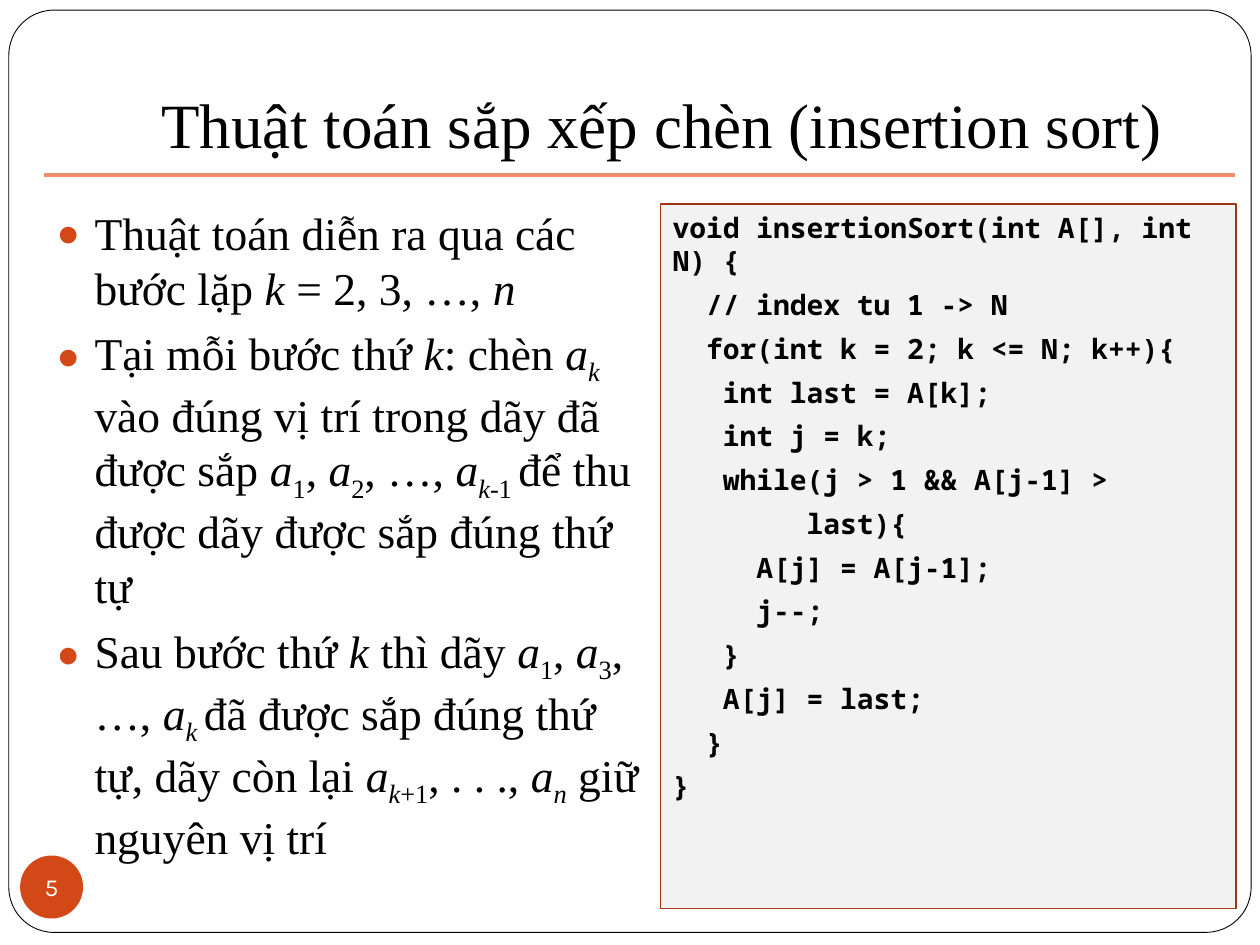
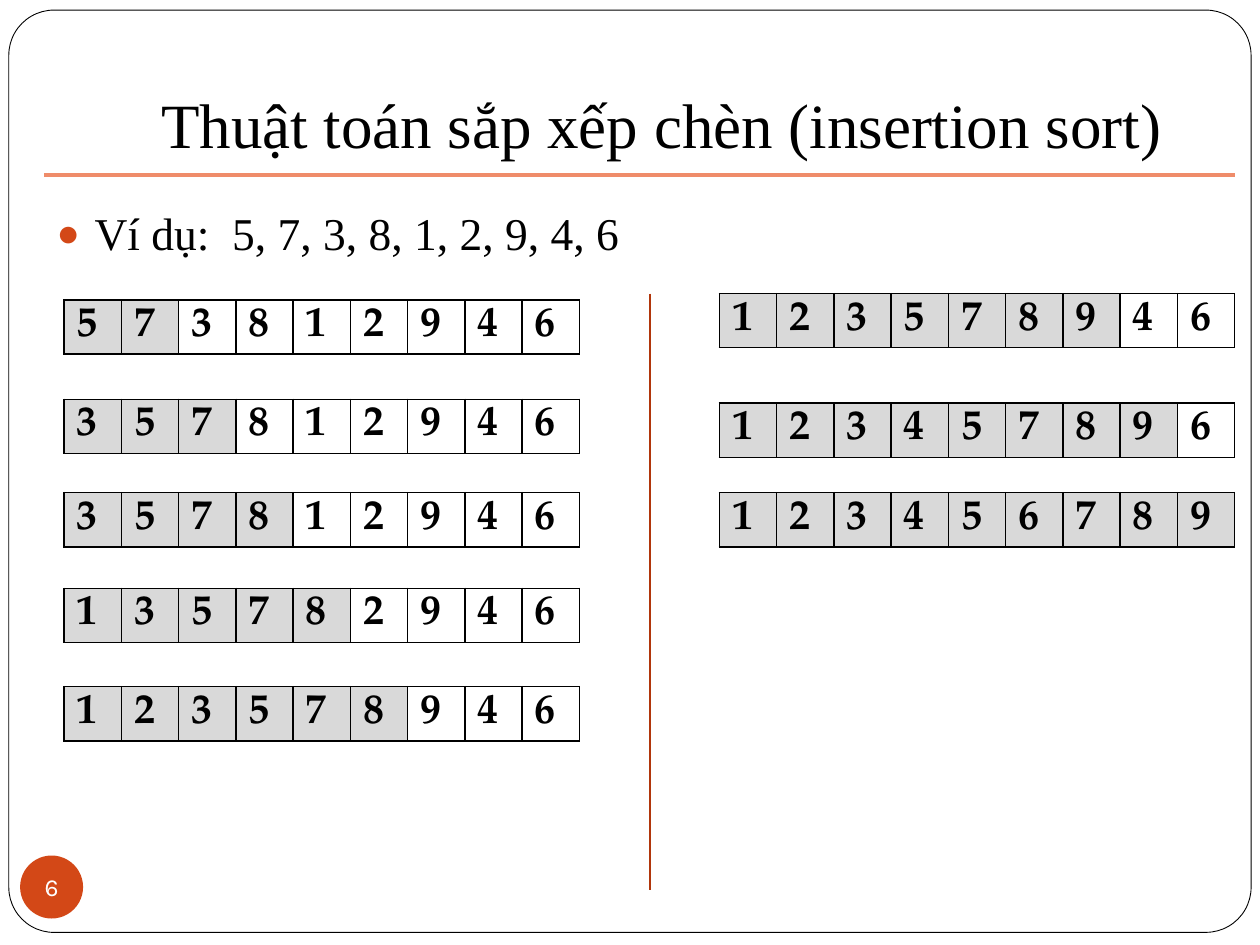
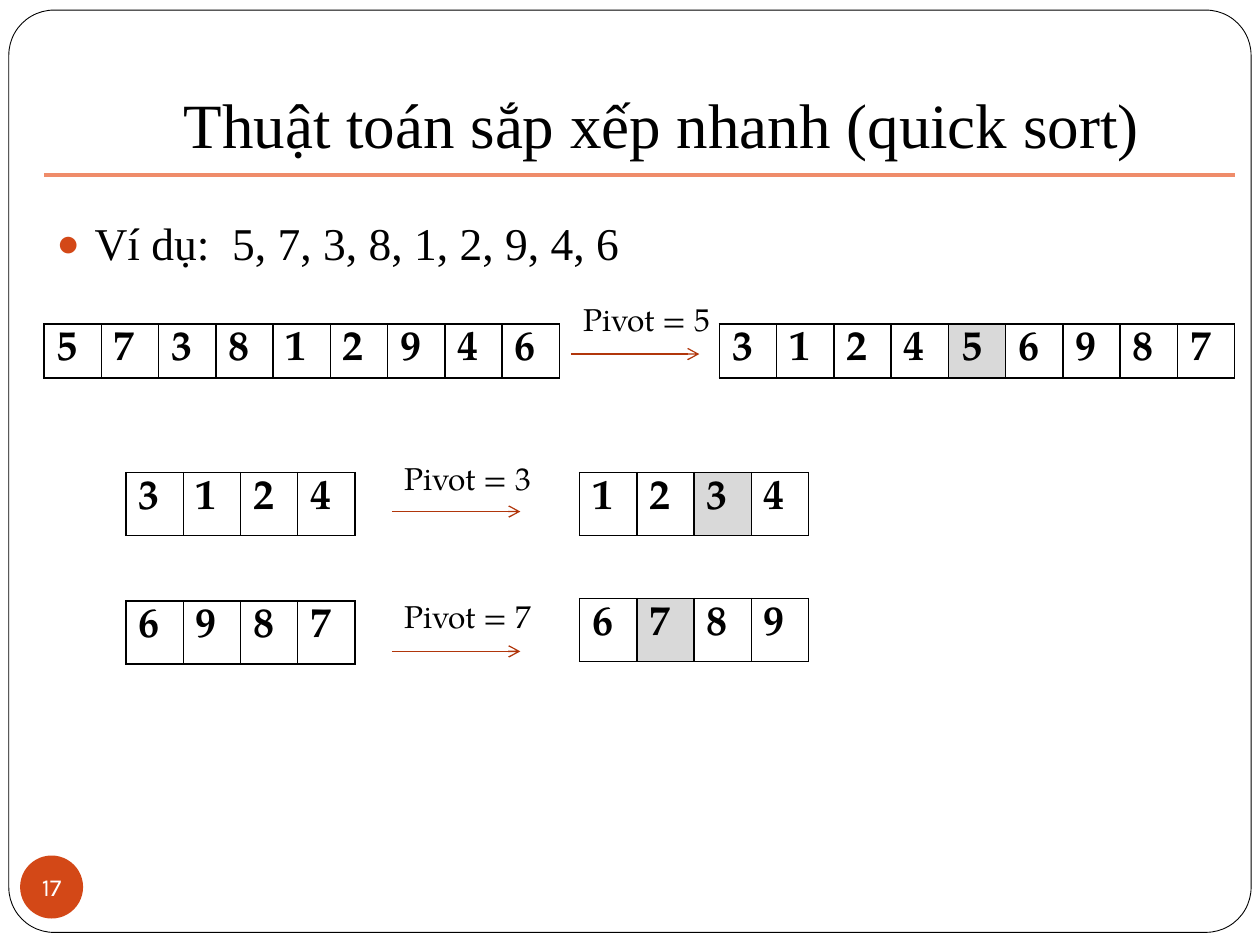
from dataclasses import dataclass

from lxml.etree import SubElement
from pptx import Presentation
from pptx.dml.color import RGBColor
from pptx.enum.shapes import MSO_CONNECTOR as Connector, MSO_SHAPE as Preset
from pptx.enum.text import MSO_ANCHOR as Anchor, MSO_AUTO_SIZE as AutoSize, PP_ALIGN as Align
from pptx.oxml import parse_xml
from pptx.oxml.ns import nsdecls, qn
from pptx.util import Inches, Pt

# Shared look
BLACK, WHITE = "000000", "FFFFFF"
ACCENT, RULE, ARROW, CODE_EDGE = "D34817", "EF8C6A", "B1360B", "9E3611"
SORTED, CODE_FILL = "D9D9D9", "F2F2F2"
TITLE_FONT = {"name": "Times New Roman", "size": Pt(36)}
LIST_FONT = {"name": "Times New Roman", "size": Pt(26)}
CODE_FONT = {"name": "Noto Sans Mono", "size": Pt(16), "bold": True}
CELL_FONT = {"name": "TeX Gyre Pagella", "size": Pt(24), "bold": True}
LABEL_FONT = {"name": "TeX Gyre Pagella", "size": Pt(18)}
BADGE_FONT = {"name": "Karla", "size": Pt(14)}
NO_INSETS = {f"margin_{side}": 0 for side in ("left", "top", "right", "bottom")}
SPACE_BEFORE = Pt(5.8)
CELL_WIDTH = 4.09 / 9
CODE_STEP = 0.133
LEFT_COLUMN, RIGHT_COLUMN = 0.51, 5.71


@dataclass(frozen=True)
class Box:
    left: float
    top: float
    width: float
    height: float

    def lengths(self) -> tuple:
        return tuple(Inches(v) for v in (self.left, self.top, self.width, self.height))


@dataclass(frozen=True)
class ArrayRow:
    left: float
    top: float
    digits: str
    shaded: range = range(0)
    height: float = 0.43


@dataclass(frozen=True)
class Pivot:
    left: float
    label_top: float
    arrow_top: float
    value: int


# Formatting helpers
def rgb(code: str) -> RGBColor:
    return RGBColor.from_string(code)


def apply(target, values: dict) -> None:
    for name, value in values.items():
        setattr(target, name, value)


def paint(shape, fill: str, edge: str = "", weight: float = 0) -> None:
    shape.shadow.inherit = False
    shape.fill.solid()
    shape.fill.fore_color.rgb = rgb(fill)
    if edge:
        shape.line.color.rgb = rgb(edge)
        shape.line.width = Pt(weight)
    else:
        shape.line.fill.background()


def write(paragraph, text: str, font: dict, color: str = BLACK):
    run = paragraph.add_run()
    run.text = text
    apply(run.font, font)
    run.font.color.rgb = rgb(color)
    return run


def write_math(paragraph, markup: str) -> None:
    """Pieces between bars: ~ is italic, _ is subscript, ^ is italic subscript."""
    for piece in markup.split("|"):
        mark = piece[0] if piece[0] in "~_^" else ""
        run = write(paragraph, piece[len(mark):], LIST_FONT)
        run.font.italic = mark in ("~", "^")
        if mark in ("_", "^"):
            run._r.get_or_add_rPr().set("baseline", "-25000")


def add_bullet(paragraph) -> None:
    paragraph.space_before = SPACE_BEFORE
    props = paragraph._p.get_or_add_pPr()
    props.set("marL", str(Inches(0.3)))
    props.set("indent", str(Inches(-0.3)))
    SubElement(SubElement(props, qn("a:buClr")), qn("a:srgbClr")).set("val", ACCENT)
    SubElement(props, qn("a:buSzPct")).set("val", "85000")
    SubElement(props, qn("a:buChar")).set("char", "●")


# Parts of a slide
def add_line(slide, start: tuple, end: tuple, color: str, weight: float, arrow: bool = False) -> None:
    line = slide.shapes.add_connector(Connector.STRAIGHT, *map(Inches, start + end))
    line.line.color.rgb = rgb(color)
    line.line.width = Pt(weight)
    if arrow:
        SubElement(line.line._get_or_add_ln(), qn("a:tailEnd")).set("type", "arrow")
    SubElement(line._element.spPr, qn("a:effectLst"))


def add_frame_to_master(deck, slide) -> None:
    frame = slide.shapes.add_shape(Preset.ROUNDED_RECTANGLE, *Box(0.07, 0.08, 9.86, 7.32).lengths())
    frame.adjustments[0] = 0.049
    paint(frame, WHITE, BLACK, 0.5)
    deck.slide_master.shapes.element.insert(2, frame.element)


def add_slide(deck, title: str, number: int, body: Box, bullets: list):
    slide = deck.slides.add_slide(deck.slide_layouts[1])

    heading = slide.shapes.title
    apply(heading, dict(zip(("left", "top", "width", "height"), Box(1, 0.13, 8.5, 1.25).lengths())))
    apply(heading.text_frame, {"vertical_anchor": Anchor.BOTTOM, "auto_size": AutoSize.NONE,
                               "margin_bottom": Inches(0.1)})
    heading.text_frame.paragraphs[0].alignment = Align.CENTER
    write(heading.text_frame.paragraphs[0], title, TITLE_FONT)
    add_line(slide, (0.35, 1.39), (9.8, 1.39), RULE, 2)

    outline = slide.placeholders[1]
    apply(outline, dict(zip(("left", "top", "width", "height"), body.lengths())))
    outline.text_frame.auto_size = AutoSize.NONE
    for index, markup in enumerate(bullets):
        frame = outline.text_frame
        paragraph = frame.add_paragraph() if index else frame.paragraphs[0]
        add_bullet(paragraph)
        write_math(paragraph, markup)

    badge = slide.shapes.add_shape(Preset.OVAL, *Box(0.16, 6.79, 0.5, 0.5).lengths())
    paint(badge, ACCENT)
    apply(badge.text_frame, {**NO_INSETS, "word_wrap": False, "vertical_anchor": Anchor.MIDDLE})
    badge.text_frame.paragraphs[0].alignment = Align.CENTER
    write(badge.text_frame.paragraphs[0], str(number), BADGE_FONT, WHITE)
    return slide


def add_code(slide, box: Box, lines: list) -> None:
    listing = slide.shapes.add_shape(Preset.RECTANGLE, *box.lengths())
    paint(listing, CODE_FILL, CODE_EDGE, 0.75)
    frame = listing.text_frame
    apply(frame, {"word_wrap": True, "vertical_anchor": Anchor.TOP})
    for index, (depth, code) in enumerate(lines):
        paragraph = frame.add_paragraph() if index else frame.paragraphs[0]
        apply(paragraph, {"alignment": Align.LEFT, "space_before": SPACE_BEFORE})
        paragraph._p.get_or_add_pPr().set("marL", str(Inches(depth * CODE_STEP)))
        write(paragraph, code, CODE_FONT)


def add_borders(cell) -> None:
    props = cell._tc.get_or_add_tcPr()
    for index, side in enumerate("LRTB"):
        props.insert(index, parse_xml(
            f'<a:ln{side} {nsdecls("a")} w="{Pt(1)}"><a:solidFill>'
            f'<a:srgbClr val="{BLACK}"/></a:solidFill></a:ln{side}>'))


def add_array(slide, row: ArrayRow) -> None:
    count = len(row.digits)
    box = Box(row.left, row.top, count * CELL_WIDTH, row.height)
    table = slide.shapes.add_table(1, count, *box.lengths()).table
    apply(table, {"first_row": False, "horz_banding": False})
    for index, digit in enumerate(row.digits):
        table.columns[index].width = Inches(CELL_WIDTH)
        cell = table.cell(0, index)
        write(cell.text_frame.paragraphs[0], digit, CELL_FONT)
        if index in row.shaded:
            cell.fill.solid()
            cell.fill.fore_color.rgb = rgb(SORTED)
        else:
            cell.fill.background()
        add_borders(cell)


def add_pivot(slide, pivot: Pivot) -> None:
    add_line(slide, (pivot.left, pivot.arrow_top), (pivot.left + 1.02, pivot.arrow_top), ARROW, 0.75, arrow=True)
    label = slide.shapes.add_textbox(*Box(pivot.left, pivot.label_top, 1.34, 0.4).lengths())
    apply(label.text_frame, {"word_wrap": True, "auto_size": AutoSize.SHAPE_TO_FIT_TEXT})
    write(label.text_frame.paragraphs[0], f"Pivot = {pivot.value}", LABEL_FONT)


# Content
INSERTION_TITLE = "Thuật toán sắp xếp chèn (insertion sort)"
QUICK_TITLE = "Thuật toán sắp xếp nhanh (quick sort)"
EXAMPLE = "Ví dụ:  5, 7, 3, 8, 1, 2, 9, 4, 6"

INSERTION_STEPS = [
    "Thuật toán diễn ra qua các bước lặp |~k| = 2, 3, …, |~n",
    "Tại mỗi bước thứ |~k|: chèn |~a|^k |vào đúng vị trí trong dãy đã được sắp "
    "|~a|_1|, |~a|_2|, …, |~a|^k|_-1 |để thu được dãy được sắp đúng thứ tự",
    "Sau bước thứ |~k| thì dãy |~a|_1|, |~a|_3|, …, |~a|^k |đã được sắp đúng thứ tự, "
    "dãy còn lại |~a|^k|_+1|, . . ., |~a|^n| giữ nguyên vị trí",
]

# Each line of code with its indent in characters
INSERTION_CODE = [
    (0, "void insertionSort(int A[], int N) {"),
    (2, "// index tu 1 -> N"),
    (2, "for(int k = 2; k <= N; k++){"),
    (3, "int last = A[k];"),
    (3, "int j = k;"),
    (3, "while(j > 1 && A[j-1] >"),
    (8, "last){"),
    (5, "A[j] = A[j-1];"),
    (5, "j--;"),
    (3, "}"),
    (3, "A[j] = last;"),
    (2, "}"),
    (0, "}"),
]

# The sorted part grows by one cell at each step, starting from two
INSERTION_ROWS = [
    (LEFT_COLUMN, 2.38, "573812946"),
    (LEFT_COLUMN, 3.17, "357812946"),
    (LEFT_COLUMN, 3.91, "357812946"),
    (LEFT_COLUMN, 4.67, "135782946"),
    (LEFT_COLUMN, 5.45, "123578946"),
    (RIGHT_COLUMN, 2.33, "123578946"),
    (RIGHT_COLUMN, 3.2, "123457896"),
    (RIGHT_COLUMN, 3.91, "123456789"),
]

QUICK_ROWS = [
    ArrayRow(0.35, 2.57, "573812946"),
    ArrayRow(RIGHT_COLUMN, 2.57, "312456987", range(4, 5)),
    ArrayRow(1, 3.75, "3124", height=0.5),
    ArrayRow(4.6, 3.75, "1234", range(2, 3), 0.5),
    ArrayRow(1, 4.77, "6987", height=0.5),
    ArrayRow(4.6, 4.75, "6789", range(1, 2), 0.5),
]
PIVOTS = [Pivot(4.53, 2.33, 2.81, 5), Pivot(3.11, 3.59, 4.06, 3), Pivot(3.11, 4.69, 5.17, 7)]

deck = Presentation()
deck.slide_width, deck.slide_height = Inches(10), Inches(7.5)

# Insertion sort: explanation and code
explanation = add_slide(deck, INSERTION_TITLE, 5, Box(0.35, 1.58, 4.88, 5.47), INSERTION_STEPS)
add_frame_to_master(deck, explanation)
add_code(explanation, Box(5.24, 1.62, 4.57, 5.59), INSERTION_CODE)

# Insertion sort: example
insertion = add_slide(deck, INSERTION_TITLE, 6, Box(0.35, 1.58, 9.29, 5.47), [EXAMPLE])
for sorted_count, (left, top, digits) in enumerate(INSERTION_ROWS, start=2):
    add_array(insertion, ArrayRow(left, top, digits, range(sorted_count)))
add_line(insertion, (5.16, 2.33), (5.16, 7.06), ARROW, 0.75)

# Quick sort: example
quick = add_slide(deck, QUICK_TITLE, 17, Box(0.35, 1.66, 9.29, 5.47), [EXAMPLE])
for array_row in QUICK_ROWS:
    add_array(quick, array_row)
for step in PIVOTS:
    add_pivot(quick, step)

deck.save("out.pptx")
